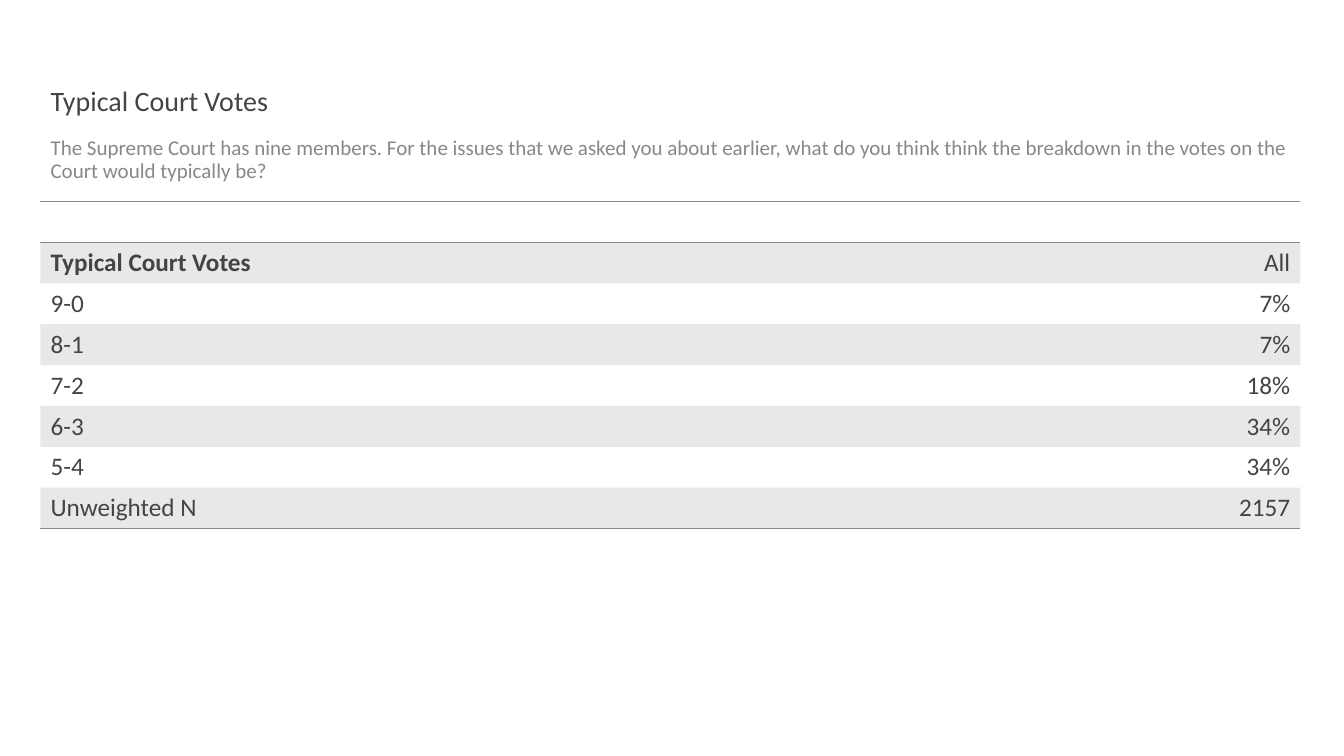
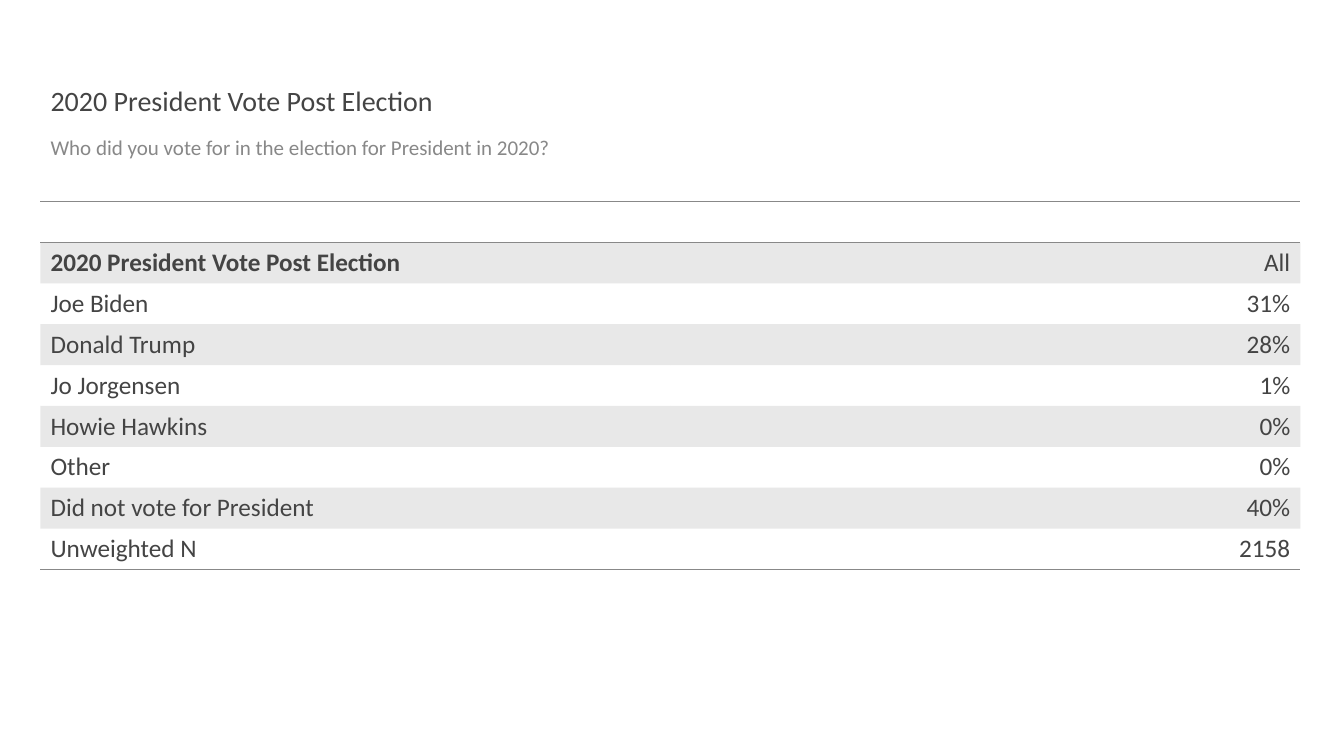
from lxml.etree import SubElement
from pptx import Presentation
from pptx.dml.color import RGBColor
from pptx.enum.text import MSO_ANCHOR, MSO_AUTO_SIZE, PP_ALIGN
from pptx.oxml import parse_xml
from pptx.oxml.ns import nsdecls, qn
from pptx.util import Cm, Pt

DARK = RGBColor(0x44, 0x44, 0x44)
GREY = RGBColor(0x88, 0x88, 0x88)
PLAIN = "{2D5ABB26-0587-4C30-8999-92F81FD0307C}"

POLLS = [
    (
        "Typical Court Votes",
        "The Supreme Court has nine members. For the issues that we asked you "
        "about earlier, what do you think think the breakdown in the votes on "
        "the Court would typically be?",
        [("9-0", "7%"), ("8-1", "7%"), ("7-2", "18%"), ("6-3", "34%"),
         ("5-4", "34%"), ("Unweighted N", "2157")],
    ),
    (
        "2020 President Vote Post Election",
        "Who did you vote for in the election for President in 2020?",
        [("Joe Biden", "31%"), ("Donald Trump", "28%"),
         ("Jo Jorgensen", "1%"), ("Howie Hawkins", "0%"), ("Other", "0%"),
         ("Did not vote for President", "40%"), ("Unweighted N", "2158")],
    ),
]


class Deck:
    font = "Calibri"
    left = Cm(1.02)
    width = Cm(31.75)
    row = Cm(1.03)

    def __init__(self):
        self.file = Presentation()
        self.file.slide_width = Cm(33.87)
        self.file.slide_height = Cm(19.05)
        self.slide = None

    def add(self):
        self.slide = self.file.slides.add_slide(self.file.slide_layouts[1])

    def style(self, para, size, color, bold=False, align=PP_ALIGN.LEFT):
        para.alignment = align
        para.font.name = self.font
        para.font.size = Pt(size)
        para.font.bold = bold
        para.font.color.rgb = color

    def fill(self, box, text, top, height, anchor, size, color):
        box.left, box.top = self.left, top
        box.width, box.height = self.width, height
        frame = box.text_frame
        frame.text = text
        frame.word_wrap = True
        frame.auto_size = MSO_AUTO_SIZE.NONE
        frame.vertical_anchor = anchor
        para = frame.paragraphs[0]
        para.line_spacing = 0.9
        self.style(para, size, color)
        return para

    def title(self, text):
        self.fill(self.slide.shapes.title, text, Cm(1.02), Cm(2.06),
                  MSO_ANCHOR.BOTTOM, 20, DARK)

    def body(self, text):
        para = self.fill(self.slide.placeholders[1], text, Cm(3.33), Cm(1.3),
                         MSO_ANCHOR.TOP, 15, GREY)
        para.space_before = Pt(10)
        props = para._p.get_or_add_pPr()
        props.set("marL", "0")
        props.set("indent", "0")
        SubElement(props, qn("a:buNone"))

    def shade(self, cell):
        cell.fill.solid()
        cell.fill.fore_color.rgb = DARK
        tint = cell._tc.tcPr.find(".//" + qn("a:srgbClr"))
        SubElement(tint, qn("a:alpha")).set("val", "12000")

    def rule(self, cell, side):
        line = parse_xml(
            f'<a:{side} {nsdecls("a")} w="{Pt(1)}"><a:solidFill>'
            f'<a:srgbClr val="{GREY}"/></a:solidFill></a:{side}>')
        cell._tc.get_or_add_tcPr().insert(0, line)

    def table(self, head, rows):
        lines = [("", ""), (head, "All"), *rows]
        last = len(lines) - 1
        shape = self.slide.shapes.add_table(
            len(lines), 2, self.left, Cm(5.08), self.width,
            self.row * len(lines))
        for node in shape._element.iter(qn("a:tableStyleId")):
            node.text = PLAIN
        grid = shape.table
        grid.first_row = grid.horz_banding = False
        for r, line in enumerate(lines):
            grid.rows[r].height = self.row
            for c, text in enumerate(line):
                cell = grid.cell(r, c)
                cell.text = text
                cell.vertical_anchor = (
                    MSO_ANCHOR.BOTTOM if r == 1 else MSO_ANCHOR.MIDDLE)
                self.style(cell.text_frame.paragraphs[0], 18, DARK,
                           r == 1 and c == 0,
                           PP_ALIGN.RIGHT if c else PP_ALIGN.LEFT)
                if r % 2:
                    self.shade(cell)
                else:
                    cell.fill.background()
                if r in (0, last):
                    self.rule(cell, "lnB")
                if r == 0:
                    self.rule(cell, "lnT")


def main():
    deck = Deck()
    for name, ask, rows in POLLS:
        deck.add()
        deck.title(name)
        deck.body(ask)
        deck.table(name, rows)
    deck.file.save("out.pptx")


if __name__ == "__main__":
    main()
